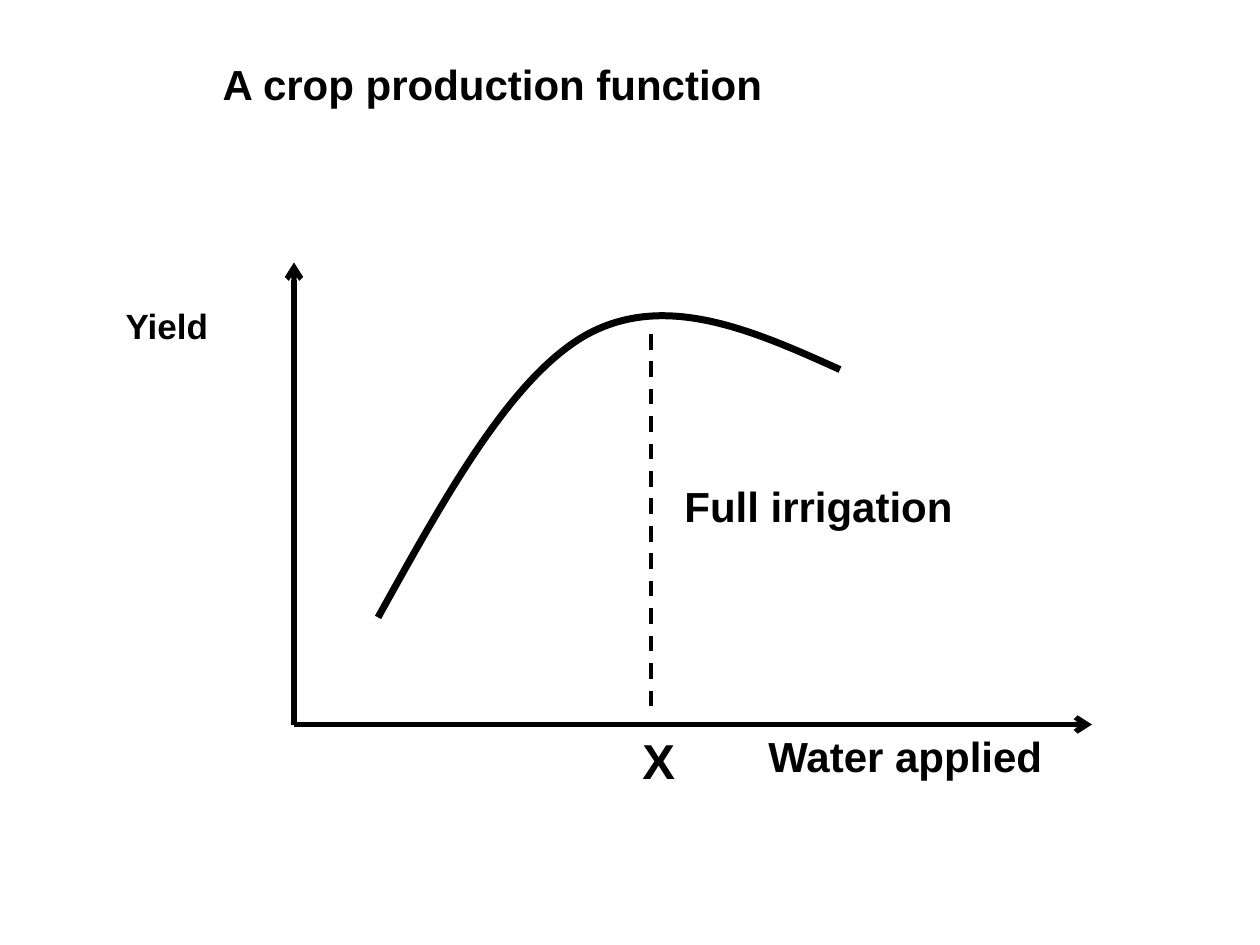
from dataclasses import dataclass

from lxml.etree import SubElement
from pptx import Presentation
from pptx.dml.color import RGBColor
from pptx.enum.dml import MSO_LINE_DASH_STYLE as Dash
from pptx.enum.shapes import MSO_CONNECTOR as Connector
from pptx.enum.text import MSO_ANCHOR as Anchor, MSO_AUTO_SIZE as AutoSize, PP_ALIGN as Align
from pptx.oxml.ns import qn
from pptx.util import Inches, Pt


@dataclass(frozen=True)
class Theme:
    font: str = "Arial"
    ink: RGBColor = RGBColor(0, 0, 0)
    text_size: int = 24
    yield_size: int = 20
    mark_size: int = 28
    axis_width: float = 3
    curve_width: float = 4
    marker_width: float = 2.25


THEME = Theme()
CELL = Inches(1) / 12  # the slide is a grid of 120 columns by 90 rows

ORIGIN = (28, 69)
YIELD_END = (28, 25)
WATER_END = (104, 69)
FULL_IRRIGATION = 62  # column of the water level X
CURVE = [(36, 58.8), (42.4, 47.3), (48.7, 35.8), (56, 31.8),
         (63.4, 27.84), (71.6, 31.4), (80, 35.2)]


def cells(*counts):
    return [round(count * CELL) for count in counts]


def style_line(line, width):
    line.color.rgb = THEME.ink
    line.width = Pt(width)


def add_line(slide, start, end, width, dash=None, arrow=False):
    connector = slide.shapes.add_connector(Connector.STRAIGHT, *cells(*start, *end))
    style_line(connector.line, width)
    if dash:
        connector.line.dash_style = dash
    if arrow:
        SubElement(connector.line._get_or_add_ln(), qn("a:tailEnd"), type="arrow")
    SubElement(connector._element.spPr, qn("a:effectLst"))


def add_curve(slide, points, width):
    """Draw cubic Béziers through points: a start, then three points per segment."""
    start, *rest = [cells(*point) for point in points]
    builder = slide.shapes.build_freeform(*start)
    builder.add_line_segments(rest, close=False)
    curve = builder.convert_to_shape()
    curve.shadow.inherit = False
    curve.fill.background()
    style_line(curve.line, width)

    outline = next(curve._element.iter(qn("a:path")))
    steps = outline.findall(qn("a:lnTo"))
    for first in range(0, len(steps), 3):
        segment = SubElement(outline, qn("a:cubicBezTo"))
        for step in steps[first:first + 3]:
            segment.append(step[0])
            outline.remove(step)


def write(box, text, size):
    frame = box.text_frame
    frame.text = text
    frame.vertical_anchor = Anchor.TOP
    paragraph = frame.paragraphs[0]
    paragraph.alignment = Align.LEFT
    font = paragraph.runs[0].font
    font.name, font.size, font.bold = THEME.font, Pt(size), True
    font.color.rgb = THEME.ink
    return frame


def add_title(slide, text, area):
    title = slide.shapes.title
    title.left, title.top, title.width, title.height = cells(*area)
    write(title, text, THEME.text_size).auto_size = AutoSize.NONE


def add_label(slide, text, area, size=THEME.text_size, wrap=True):
    frame = write(slide.shapes.add_textbox(*cells(*area)), text, size)
    frame.word_wrap = wrap
    return frame


def main():
    deck = Presentation()
    deck.slide_width, deck.slide_height = Inches(10), Inches(7.5)
    slide = deck.slides.add_slide(deck.slide_layouts[5])

    add_title(slide, "A crop production function", (20, 5, 73.8, 11.3))
    for axis_end in (YIELD_END, WATER_END):
        add_line(slide, ORIGIN, axis_end, THEME.axis_width, arrow=True)
    add_curve(slide, CURVE, THEME.curve_width)
    add_line(slide, (FULL_IRRIGATION, 31.8), (FULL_IRRIGATION, 68),
             THEME.marker_width, dash=Dash.DASH)

    add_label(slide, "Full irrigation", (64, 45.2, 32, 6.7))
    add_label(slide, "Water applied", (72, 69, 36, 6.7))
    yield_label = add_label(slide, "Yield", (8, 28.4, 20, 6.7), THEME.yield_size)
    yield_label.margin_left = Inches(0.33)
    mark = add_label(slide, "X", (60, 69, 5.5, 6.8), THEME.mark_size, wrap=False)
    mark.auto_size = AutoSize.SHAPE_TO_FIT_TEXT

    deck.save("out.pptx")


if __name__ == "__main__":
    main()
